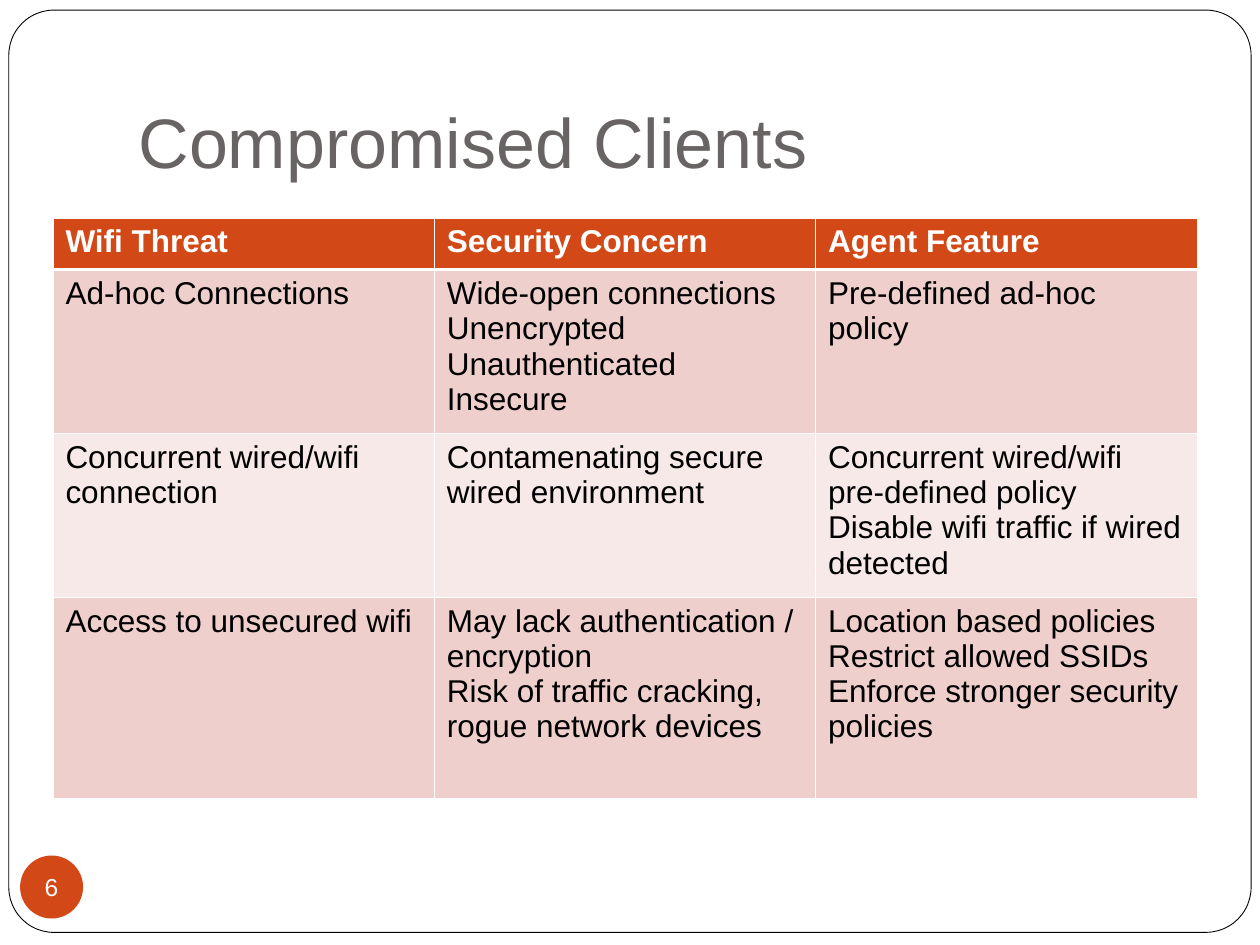
from lxml import etree
from pptx import Presentation
from pptx.dml.color import RGBColor
from pptx.enum.shapes import MSO_SHAPE
from pptx.enum.text import MSO_ANCHOR, MSO_AUTO_SIZE, PP_ALIGN
from pptx.oxml.ns import qn
from pptx.util import Inches, Pt

ROUNDED_RECTANGLE, OVAL = MSO_SHAPE.ROUNDED_RECTANGLE, MSO_SHAPE.OVAL
TOP, MIDDLE, BOTTOM = MSO_ANCHOR.TOP, MSO_ANCHOR.MIDDLE, MSO_ANCHOR.BOTTOM
LEFT, CENTER = PP_ALIGN.LEFT, PP_ALIGN.CENTER
NO_AUTOFIT = MSO_AUTO_SIZE.NONE

FONT = "Arial"
WHITE, BLACK, GRAY, ORANGE = "FFFFFF", "000000", "696464", "D34817"
BANDS = ["EFCFCC", "F7E9E7"]
ROW_HEIGHTS = [0.41, 1.3, 1.3, 1.6]
THIN, THICK = 0.45, 1.47

THREATS = [
    ["Wifi Threat", "Security Concern", "Agent Feature"],
    [
        "Ad-hoc Connections",
        "Wide-open connections\nUnencrypted\nUnauthenticated\nInsecure",
        "Pre-defined ad-hoc policy",
    ],
    [
        "Concurrent wired/wifi connection",
        "Contamenating secure wired environment",
        "Concurrent wired/wifi pre-defined policy\nDisable wifi traffic if wired detected",
    ],
    [
        "Access to unsecured wifi",
        "May lack authentication / encryption\nRisk of traffic cracking, rogue network devices",
        "Location based policies\nRestrict allowed SSIDs\nEnforce stronger security policies",
    ],
]


def color(value):
    return RGBColor.from_string(value)


def write_text(text_frame, text, size, text_color, bold=False, align=LEFT):
    text_frame.text = text
    for paragraph in text_frame.paragraphs:
        paragraph.alignment = align
        for run in paragraph.runs:
            run.font.name = FONT
            run.font.size = Pt(size)
            run.font.bold = bold
            run.font.color.rgb = color(text_color)


def set_insets(target, left, top, right, bottom):
    target.margin_left, target.margin_top = Inches(left), Inches(top)
    target.margin_right, target.margin_bottom = Inches(right), Inches(bottom)


def place(shape, left, top, width, height):
    shape.left, shape.top = Inches(left), Inches(top)
    shape.width, shape.height = Inches(width), Inches(height)


def add_filled_shape(slide, kind, box, fill):
    shape = slide.shapes.add_shape(kind, *map(Inches, box))
    shape.shadow.inherit = False
    shape.fill.solid()
    shape.fill.fore_color.rgb = color(fill)
    shape.line.fill.background()
    return shape


def add_frame(slide, box):
    frame = add_filled_shape(slide, ROUNDED_RECTANGLE, box, WHITE)
    frame.adjustments[0] = 0.049
    frame.line.color.rgb = color(BLACK)
    frame.line.width = Pt(0.5)
    slide.shapes.title.element.addprevious(frame.element)


def add_title(slide, box, text):
    title = slide.shapes.title
    place(title, *box)
    text_frame = title.text_frame
    text_frame.auto_size = NO_AUTOFIT
    text_frame.word_wrap = True
    text_frame.vertical_anchor = BOTTOM
    set_insets(text_frame, 0.1, 0.05, 0.1, 0.1)
    write_text(text_frame, text, 40, GRAY)


def set_borders(cell, widths):
    properties = cell._tc.get_or_add_tcPr()
    for position, (side, width) in enumerate(widths.items()):
        line = etree.Element(qn(f"a:{side}"), w=str(Pt(width)))
        fill = etree.SubElement(line, qn("a:solidFill"))
        etree.SubElement(fill, qn("a:srgbClr"), val=WHITE)
        properties.insert(position, line)


def add_threat_table(slide, box, rows):
    shape = slide.shapes.add_table(len(rows), len(rows[0]), *map(Inches, box))
    table = shape.table
    for row, height in zip(table.rows, ROW_HEIGHTS):
        row.height = Inches(height)
    for row_index, texts in enumerate(rows):
        is_header = row_index == 0
        fill = ORANGE if is_header else BANDS[(row_index - 1) % 2]
        borders = {
            "lnL": THIN,
            "lnR": THIN,
            "lnT": THICK if row_index == 1 else THIN,
            "lnB": THICK if is_header else THIN,
        }
        for column_index, text in enumerate(texts):
            cell = table.cell(row_index, column_index)
            cell.fill.solid()
            cell.fill.fore_color.rgb = color(fill)
            cell.vertical_anchor = TOP
            set_insets(cell, 0.1, 0.05, 0.1, 0.05)
            set_borders(cell, borders)
            text_color = WHITE if is_header else BLACK
            write_text(cell.text_frame, text, 18, text_color, bold=is_header)


def add_page_badge(slide, box, number):
    badge = add_filled_shape(slide, OVAL, box, ORANGE)
    text_frame = badge.text_frame
    text_frame.word_wrap = False
    text_frame.vertical_anchor = MIDDLE
    set_insets(text_frame, 0, 0, 0, 0)
    write_text(text_frame, number, 14, WHITE, align=CENTER)


def main():
    presentation = Presentation()
    presentation.slide_width, presentation.slide_height = Inches(10), Inches(7.5)
    slide = presentation.slides.add_slide(presentation.slide_layouts[5])
    add_frame(slide, (0.07, 0.08, 9.86, 7.32))
    add_title(slide, (1, 0.3, 8.5, 1.25), "Compromised Clients")
    add_threat_table(slide, (0.42, 1.73, 9.08, sum(ROW_HEIGHTS)), THREATS)
    add_page_badge(slide, (0.16, 6.79, 0.5, 0.5), "6")
    presentation.save("out.pptx")


if __name__ == "__main__":
    main()
